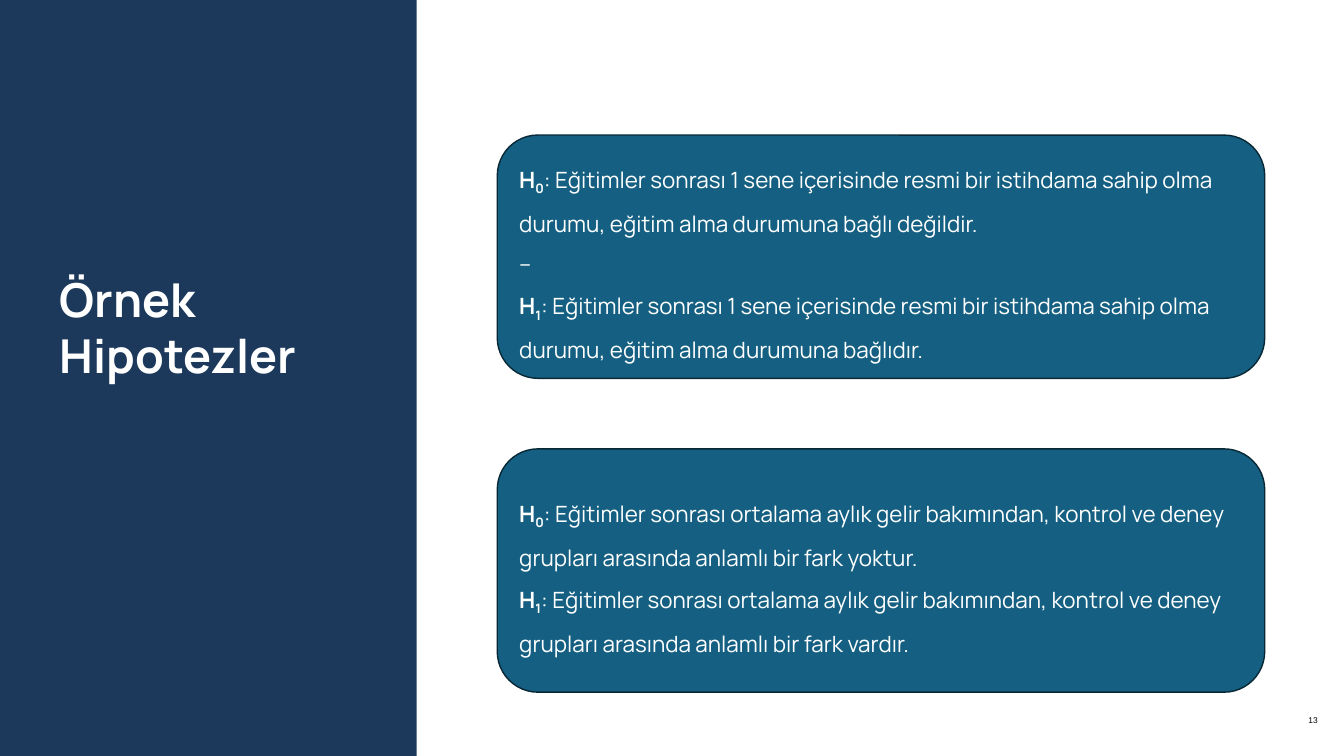
from pptx import Presentation
from pptx.dml.color import RGBColor
from pptx.enum import shapes, text
from pptx.util import Inches, Pt

COLORS = {"navy": "1C395C", "teal": "156082", "outline": "082836",
          "white": "FFFFFF", "black": "000000"}

EMPLOYMENT = "Eğitimler sonrası 1 sene içerisinde resmi bir istihdama sahip olma durumu, eğitim alma durumuna "
INCOME = "Eğitimler sonrası ortalama aylık gelir bakımından, kontrol ve deney grupları arasında anlamlı bir fark "
HYPOTHESES = [
    [("0", EMPLOYMENT + "bağlı değildir."), ("", "–"), ("1", EMPLOYMENT + "bağlıdır.")],
    [("0", INCOME + "yoktur."), ("1", INCOME + "vardır.")],
]


def color(name):
    return RGBColor.from_string(COLORS[name])


def style(span, size, name="white", bold=False, family="Manrope"):
    span.font.size = Pt(size)
    span.font.name = family
    span.font.bold = bold
    span.font.color.rgb = color(name)


def set_margins(frame, side, top):
    frame.word_wrap = True
    frame.margin_left = frame.margin_right = Inches(side)
    frame.margin_top = frame.margin_bottom = Inches(top)


def add_panel(page, kind, area, fill):
    panel = page.shapes.add_shape(kind, *map(Inches, area))
    panel.shadow.inherit = False
    panel.fill.solid()
    panel.fill.fore_color.rgb = color(fill)
    panel.line.fill.background()
    return panel


def add_label(page, area, words):
    box = page.shapes.add_textbox(*map(Inches, area))
    set_margins(box.text_frame, 0.2, 0.2)
    box.text_frame.text = words
    return box.text_frame


def add_sidebar(page, left, top, width, height):
    add_panel(page, shapes.MSO_SHAPE.RECTANGLE, (left, top, width, height), "navy")
    title = add_label(page, (left + 0.69, top + 3.87, width - 0.71, 2.09), "Örnek Hipotezler")
    style(title.paragraphs[0].runs[0], 50, bold=True)


def add_span(para, words, bold=False, subscript=False):
    span = para.add_run()
    span.text = words
    style(span, 24, bold=bold)
    if subscript:
        span.font._element.set("baseline", "-25000")


def add_hypotheses(page, area, entries):
    card = add_panel(page, shapes.MSO_SHAPE.ROUNDED_RECTANGLE, area, "teal")
    card.adjustments[0] = 0.167
    card.line.color.rgb = color("outline")
    card.line.width = Pt(1.5)
    frame = card.text_frame
    set_margins(frame, 0.15, 0.07)
    frame.vertical_anchor = text.MSO_ANCHOR.MIDDLE
    for index, (number, statement) in enumerate(entries):
        para = frame.add_paragraph() if index else frame.paragraphs[0]
        para.alignment = text.PP_ALIGN.LEFT
        para.line_spacing = 1.5
        if number:
            add_span(para, "H", bold=True)
            add_span(para, number, bold=True, subscript=True)
            statement = ": " + statement
        add_span(para, statement)


def add_page_number(page, area, number):
    frame = add_label(page, area, number)
    frame.vertical_anchor = text.MSO_ANCHOR.MIDDLE
    para = frame.paragraphs[0]
    para.alignment = text.PP_ALIGN.RIGHT
    style(para.runs[0], 9, "black", family="Arial")


def main():
    deck = Presentation()
    deck.slide_width, deck.slide_height = Inches(20), Inches(11.25)
    page = deck.slides.add_slide(deck.slide_layouts[6])
    add_sidebar(page, 0, -0.04, 6.2, 11.42)
    for row, entries in enumerate(HYPOTHESES):
        add_hypotheses(page, (7.4, 2.01 + row * 4.67, 11.42, 3.62), entries)
    add_page_number(page, (18.61, 10.28, 1.2, 0.86), "13")
    deck.save("out.pptx")


if __name__ == "__main__":
    main()
